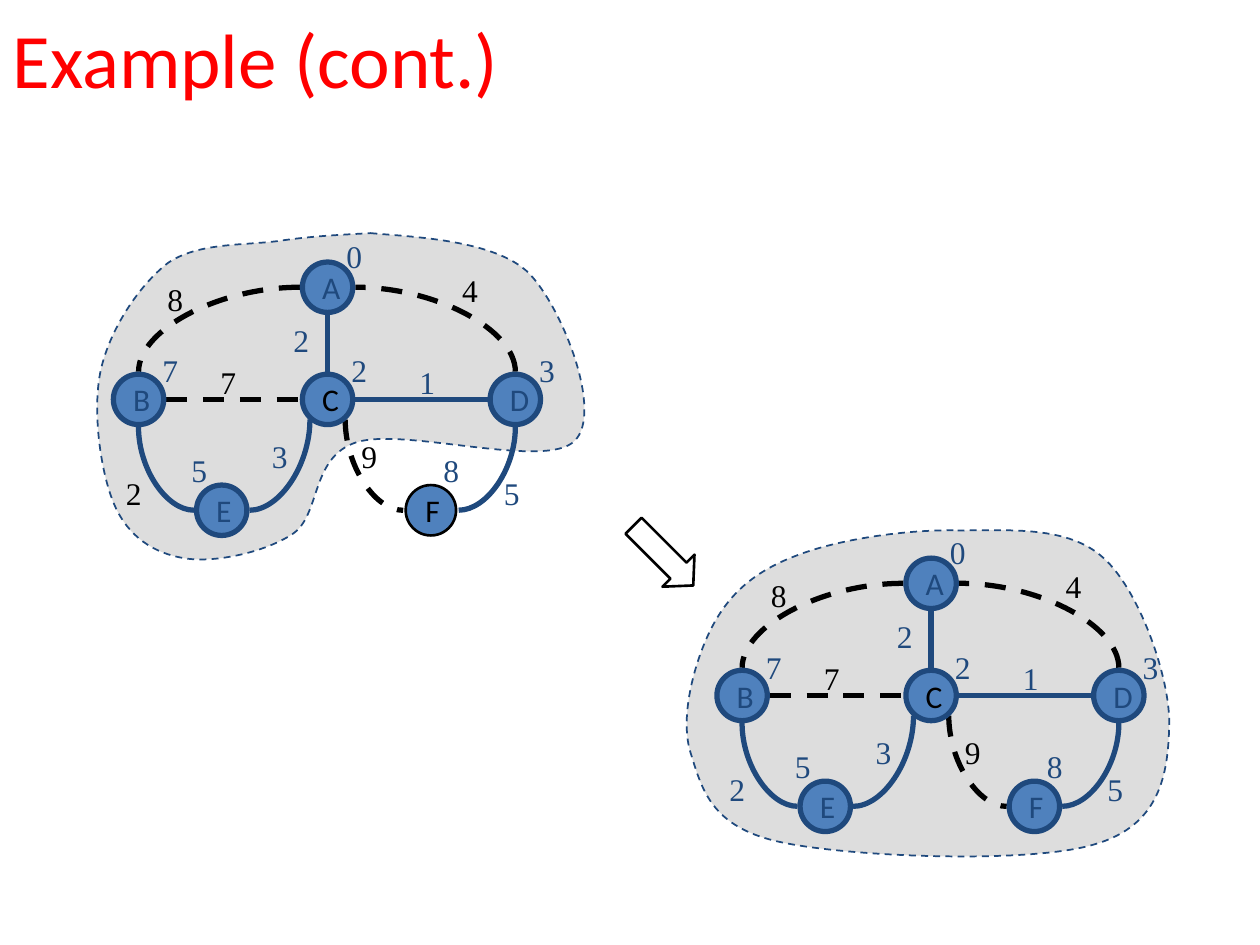
"""Builds the slide with two steps of a minimum spanning tree on one graph."""
from pptx import Presentation
from pptx.dml.color import RGBColor
from pptx.enum.dml import MSO_LINE
from pptx.enum.shapes import MSO_CONNECTOR, MSO_SHAPE
from pptx.enum.text import MSO_ANCHOR, MSO_AUTO_SIZE, PP_ALIGN
from pptx.oxml.ns import qn
from pptx.util import Inches, Pt
from lxml.etree import SubElement

RED = RGBColor(0xFF, 0, 0)
BLACK = RGBColor(0, 0, 0)
NAVY = RGBColor(0x1F, 0x49, 0x7D)
BLUE = RGBColor(0x4F, 0x81, 0xBD)
GREY = RGBColor(0xDD, 0xDD, 0xDD)

TITLE = "Example (cont.)"
NODE_SIZE = 0.4
REACH = 0.22
NODES = {"A": (2.6, 2.28), "B": (1.1, 3.17), "C": (2.6, 3.17),
         "D": (4.09, 3.17), "E": (1.76, 4.05), "F": (3.42, 4.05)}
SIDES = {"top": (0, -REACH), "bottom": (0, REACH), "left": (-REACH, 0),
         "right": (REACH, 0), "lower left": (-0.14, 0.16), "lower right": (0.14, 0.16)}
EDGES = [
    ("A", "left", "B", "top", "curve", "rejected"),
    ("D", "top", "A", "right", "upright curve", "rejected"),
    ("E", "left", "B", "bottom", "curve", "tree"),
    ("E", "right", "C", "lower left", "curve", "tree"),
    ("F", "right", "D", "bottom", "curve", "tree"),
    ("C", "lower right", "F", "left", "upright curve", "rejected"),
    ("A", "bottom", "C", "top", "straight", "tree"),
    ("B", "right", "C", "left", "straight", "rejected"),
    ("C", "right", "D", "left", "straight", "tree"),
]
EDGE_STYLES = {"tree": (NAVY, 3, MSO_LINE.SOLID), "rejected": (BLACK, 3, MSO_LINE.DASH)}
DISTANCES = [("0", 2.65, 1.83), ("3", 4.18, 2.74), ("2", 2.69, 2.74),
             ("7", 1.19, 2.74), ("5", 1.42, 3.53), ("8", 3.42, 3.53)]
TREE_WEIGHTS = [("1", 3.23, 2.83), ("5", 3.9, 3.71), ("2", 2.23, 2.5), ("3", 2.06, 3.42)]
REJECTED_WEIGHTS = [("4", 3.57, 2.1), ("8", 1.23, 2.17), ("7", 1.65, 2.83), ("9", 2.77, 3.42)]
BE_WEIGHT = ("2", 0.9, 3.71)

STEPS = [
    {"offset": (0, 0), "black_nodes": "CF", "thin_nodes": "F", "be_color": BLACK,
     "cloud": [(2.94, 1.85),
               (3.26, 1.88), (3.93, 1.9), (4.2, 2.17),
               (4.47, 2.45), (4.79, 3.28), (4.56, 3.5),
               (4.33, 3.73), (3.21, 3.39), (2.83, 3.51),
               (2.46, 3.63), (2.55, 4.09), (2.32, 4.24),
               (2.09, 4.39), (1.69, 4.47), (1.46, 4.43),
               (1.22, 4.39), (1.02, 4.26), (0.91, 4.01),
               (0.8, 3.76), (0.73, 3.26), (0.8, 2.94),
               (0.87, 2.62), (1.1, 2.27), (1.33, 2.09),
               (1.57, 1.92), (1.96, 1.95), (2.23, 1.91),
               (2.5, 1.87), (2.79, 1.86), (2.94, 1.85)]},
    {"offset": (4.79, 2.35), "black_nodes": "C", "thin_nodes": "", "be_color": NAVY,
     "cloud": [(7.6, 4.21),
               (8.01, 4.21), (8.48, 4.17), (8.76, 4.43),
               (9.04, 4.68), (9.29, 5.38), (9.28, 5.76),
               (9.27, 6.14), (9.21, 6.55), (8.69, 6.7),
               (8.17, 6.86), (6.71, 6.8), (6.18, 6.68),
               (5.64, 6.56), (5.57, 6.26), (5.48, 5.97),
               (5.39, 5.68), (5.52, 5.22), (5.66, 4.96),
               (5.8, 4.7), (6, 4.53), (6.32, 4.41),
               (6.65, 4.28), (7.2, 4.2), (7.6, 4.21)]},
]


def write(frame, text, font_name, size, color, **frame_format):
    """Put one formatted line of text in a frame."""
    for key, value in frame_format.items():
        setattr(frame, key, value)
    line = frame.paragraphs[0]
    line.alignment = PP_ALIGN.LEFT
    run = line.add_run()
    run.text = text
    for key, value in {"name": font_name, "size": Pt(size)}.items():
        setattr(run.font, key, value)
    run.font.color.rgb = color


def outline(part, color, width, dash=MSO_LINE.SOLID):
    """Set the line of a shape or connector."""
    part.line.color.rgb = color
    part.line.width = Pt(width)
    part.line.dash_style = dash


def add_cloud(shapes, points):
    """Draw the area around the visited nodes, three points to a curve."""
    start, *rest = [(Inches(x), Inches(y)) for x, y in points]
    builder = shapes.build_freeform(*start)
    builder.add_line_segments(rest, close=True)
    cloud = builder.convert_to_shape()
    segments = list(cloud._element.iter(qn("a:lnTo")))
    for first, second, third in zip(*[iter(segments)] * 3):
        first.tag = qn("a:cubicBezTo")
        for segment in (second, third):
            first.append(segment[0])
            segment.getparent().remove(segment)
    cloud.shadow.inherit = False
    cloud.fill.solid()
    cloud.fill.fore_color.rgb = GREY
    outline(cloud, NAVY, 1, MSO_LINE.DASH)


def add_edge(shapes, offset, start, start_side, end, end_side, form, style):
    """Connect two nodes by a straight line or a quarter curve."""
    x1, y1, x2, y2 = (sum(parts) for node, side in ((start, start_side), (end, end_side))
                      for parts in zip(NODES[node], SIDES[side], offset))
    if form == "upright curve":
        x, y = (x1 + x2) / 2, (y1 + y2) / 2
        half_width, half_height = (y1 - y2) / 2, (x2 - x1) / 2
        x1, y1, x2, y2 = x - half_width, y - half_height, x + half_width, y + half_height
    kind = MSO_CONNECTOR.STRAIGHT if form == "straight" else MSO_CONNECTOR.CURVE
    edge = shapes.add_connector(kind, Inches(x1), Inches(y1), Inches(x2), Inches(y2))
    properties = edge._element.spPr
    if form != "straight":
        properties.find(qn("a:prstGeom")).set("prst", "curvedConnector2")
    if form == "upright curve":
        properties.find(qn("a:xfrm")).set("rot", str(270 * 60000))
    outline(edge, *EDGE_STYLES[style])
    SubElement(properties, qn("a:effectLst"))


def add_node(shapes, offset, letter, color, line_color, line_width):
    """Draw one lettered node."""
    left, top = (Inches(c + o - NODE_SIZE / 2) for c, o in zip(NODES[letter], offset))
    node = shapes.add_shape(MSO_SHAPE.OVAL, left, top, Inches(NODE_SIZE), Inches(NODE_SIZE))
    node.shadow.inherit = False
    node.fill.solid()
    node.fill.fore_color.rgb = BLUE
    outline(node, line_color, line_width)
    write(node.text_frame, letter, "Calibri", 18, color,
          word_wrap=False, vertical_anchor=MSO_ANCHOR.MIDDLE)


def add_graph(shapes, step):
    """Draw the graph in the state of one step."""
    offset = step["offset"]
    add_cloud(shapes, step["cloud"])
    for edge in EDGES:
        add_edge(shapes, offset, *edge)
    for letter in NODES:
        color = BLACK if letter in step["black_nodes"] else NAVY
        border = (BLACK, 1.5) if letter in step["thin_nodes"] else (NAVY, 3)
        add_node(shapes, offset, letter, color, *border)
    for numbers, color in ((DISTANCES + TREE_WEIGHTS, NAVY), (REJECTED_WEIGHTS, BLACK),
                           ([BE_WEIGHT], step["be_color"])):
        for number, x, y in numbers:
            label = shapes.add_textbox(Inches(x + offset[0]), Inches(y + offset[1]),
                                       Inches(0.32), Inches(0.4))
            write(label.text_frame, number, "Times New Roman", 18, color,
                  word_wrap=False, auto_size=MSO_AUTO_SIZE.SHAPE_TO_FIT_TEXT)


def main():
    """Build and save the slide."""
    deck = Presentation()
    deck.slide_width, deck.slide_height = Inches(10), Inches(7.5)
    slide = deck.slides.add_slide(deck.slide_layouts[5])
    title = slide.shapes.title
    place = {"left": 0, "top": -0.17, "width": 9, "height": 1.25}
    for key, value in place.items():
        setattr(title, key, Inches(value))
    write(title.text_frame, TITLE, "Calibri", 44, RED, vertical_anchor=MSO_ANCHOR.MIDDLE)

    for step in STEPS:
        add_graph(slide.shapes, step)

    arrow = slide.shapes.add_shape(MSO_SHAPE.RIGHT_ARROW, Inches(4.93), Inches(4.23),
                                   Inches(0.67), Inches(0.36))
    arrow.shadow.inherit = False
    arrow.adjustments[1] = 0.46
    arrow.rotation = 45
    arrow.fill.background()
    outline(arrow, BLACK, 1.5)
    deck.save("out.pptx")


if __name__ == "__main__":
    main()
